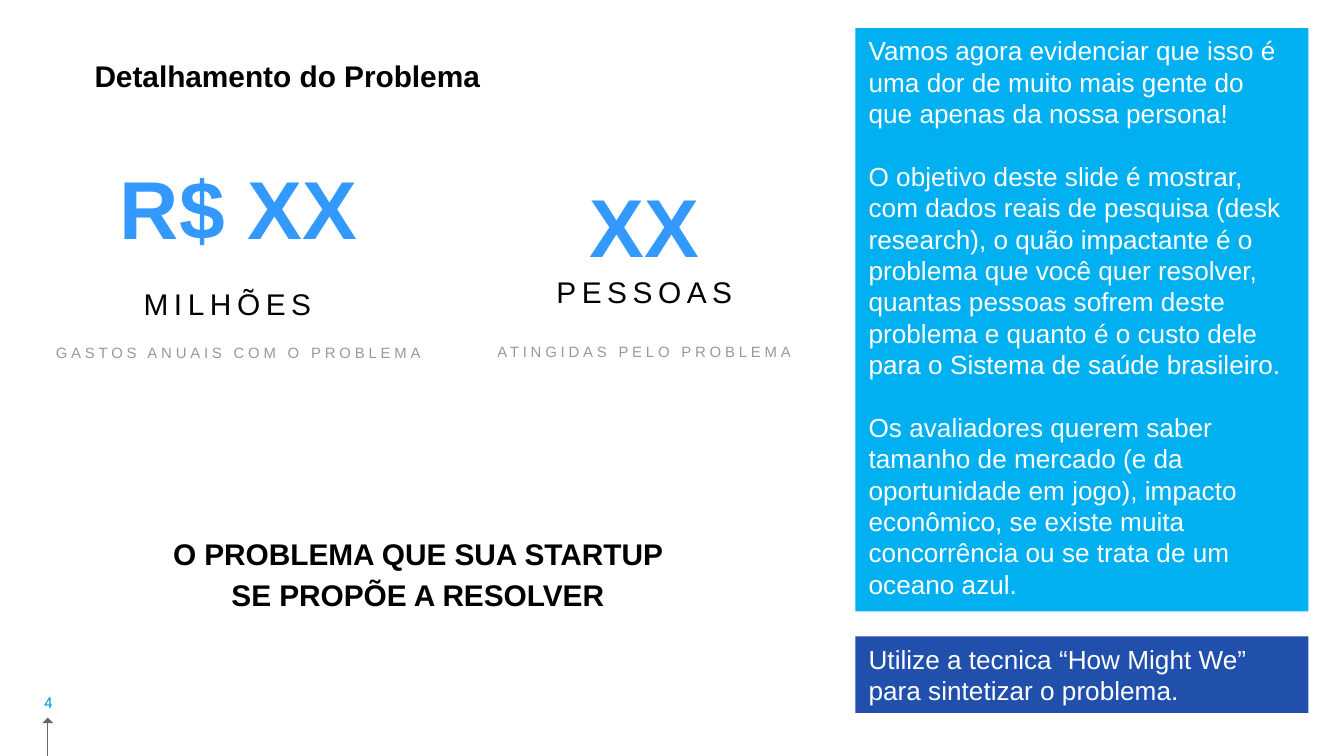
from lxml import etree
from pptx import Presentation
from pptx.dml.color import RGBColor
from pptx.enum.shapes import MSO_CONNECTOR, MSO_SHAPE
from pptx.enum.text import MSO_ANCHOR, PP_ALIGN
from pptx.oxml.ns import qn
from pptx.util import Pt

PX = 4572
LEFT, MID = PP_ALIGN.LEFT, PP_ALIGN.CENTER
TOP, HALF = MSO_ANCHOR.TOP, MSO_ANCHOR.MIDDLE
RECT, PEAK = MSO_SHAPE.RECTANGLE, MSO_SHAPE.ISOSCELES_TRIANGLE
LINE = MSO_CONNECTOR.STRAIGHT
BLACK = RGBColor(0, 0, 0)
WHITE = RGBColor(255, 255, 255)
GRAY = RGBColor(0x66, 0x66, 0x66)
PALE = RGBColor(0x99, 0x99, 0x99)
BLUE = RGBColor(0x33, 0x99, 0xFF)
CYAN = RGBColor(0x00, 0xB0, 0xF0)
NAVY = RGBColor(0x20, 0x4F, 0xAC)
TEAL = RGBColor(0x00, 0x99, 0xDA)

deck = Presentation()
deck.slide_width, deck.slide_height = 2000 * PX, 1125 * PX
slide = deck.slides.add_slide(deck.slide_layouts[6])
shapes = slide.shapes


def style(font, size, color, bold=False, face="Arial"):
    font.name, font.size, font.bold = face, Pt(size), bold
    font.color.rgb = color


def add_text(box, align, anchor):
    area = shapes.add_textbox(*[n * PX for n in box])
    frame = area.text_frame
    frame.word_wrap, frame.vertical_anchor = True, anchor
    frame.margin_left = frame.margin_right = 20 * PX
    frame.margin_top = frame.margin_bottom = 20 * PX
    para = frame.paragraphs[0]
    para.alignment = align
    return para


stem = shapes.add_connector(LINE, 71 * PX, 1125 * PX, 71 * PX, 1070 * PX)
stem.line.color.rgb, stem.line.width = GRAY, Pt(0.75)
etree.SubElement(stem._element.spPr, qn("a:effectLst"))
tip = shapes.add_shape(PEAK, 63 * PX, 1068 * PX, 16 * PX, 8 * PX)
tip.shadow.inherit = False
tip.fill.solid()
tip.fill.fore_color.rgb = GRAY
tip.line.fill.background()

page = add_text((2, 1025, 140, 42), MID, HALF)
page.text = "4"
style(page.font, 8, TEAL, face="Roboto")

for box, align, text in [
    ((121, 58, 748, 70), LEFT, "Detalhamento do Problema"),
    ((215, 769, 814, 70), MID,
     "O PROBLEMA QUE SUA STARTUP SE PROPÕE A RESOLVER"),
]:
    head = add_text(box, align, TOP)
    head.text, head.line_spacing = text, 1.15
    style(head.font, 16, BLACK, True)

for box, value, unit, tail in [
    ((137, 280, 436, 162), "R$ XX", "MILHÕES", " "),
    ((773, 280, 372, 162), "XX", "PESSOAS", ""),
]:
    para = add_text(box, MID, HALF)
    run = para.add_run()
    run.text = value
    style(run.font, 44, BLUE, True)
    para.add_line_break()
    run = para.add_run()
    run.text = unit
    style(run.font, 16, BLACK)
    run._r.get_or_add_rPr().set("spc", "300")
    if tail:
        run = para.add_run()
        run.text = tail
        style(run.font, 32, BLACK)

for box, text in [
    ((-29, 504, 768, 40), "GASTOS ANUAIS COM O PROBLEMA"),
    ((622, 496, 674, 54), "ATINGIDAS PELO PROBLEMA"),
]:
    label = add_text(box, MID, HALF)
    label.text = text
    style(label.font, 8, PALE)
    label.runs[0]._r.get_or_add_rPr().set("spc", "200")

for top, high, color, texts in [
    (42, 868, CYAN, [
        "Vamos agora evidenciar que isso é uma dor de muito mais gente "
        "do que apenas da nossa persona!",
        "O objetivo deste slide é mostrar, com dados reais de pesquisa "
        "(desk research), o quão impactante é o problema que você quer "
        "resolver, quantas pessoas sofrem deste problema e quanto é o "
        "custo dele para o Sistema de saúde brasileiro.",
        "Os avaliadores querem saber tamanho de mercado (e da "
        "oportunidade em jogo), impacto econômico, se existe muita "
        "concorrência ou se trata de um oceano azul.",
    ]),
    (947, 114, NAVY, [
        "Utilize a tecnica “How Might We” para sintetizar o problema.",
    ]),
]:
    note = shapes.add_shape(RECT, 1273 * PX, top * PX, 674 * PX, high * PX)
    note.shadow.inherit = False
    note.fill.solid()
    note.fill.fore_color.rgb = color
    note.line.fill.background()
    frame = note.text_frame
    frame.word_wrap, frame.vertical_anchor = True, TOP
    frame.text = "\n".join(texts)
    for rank, para in enumerate(frame.paragraphs):
        para.alignment = LEFT
        para.space_before = Pt(16.8 if rank else 0)
        style(para.font, 14, WHITE)

deck.save("out.pptx")
